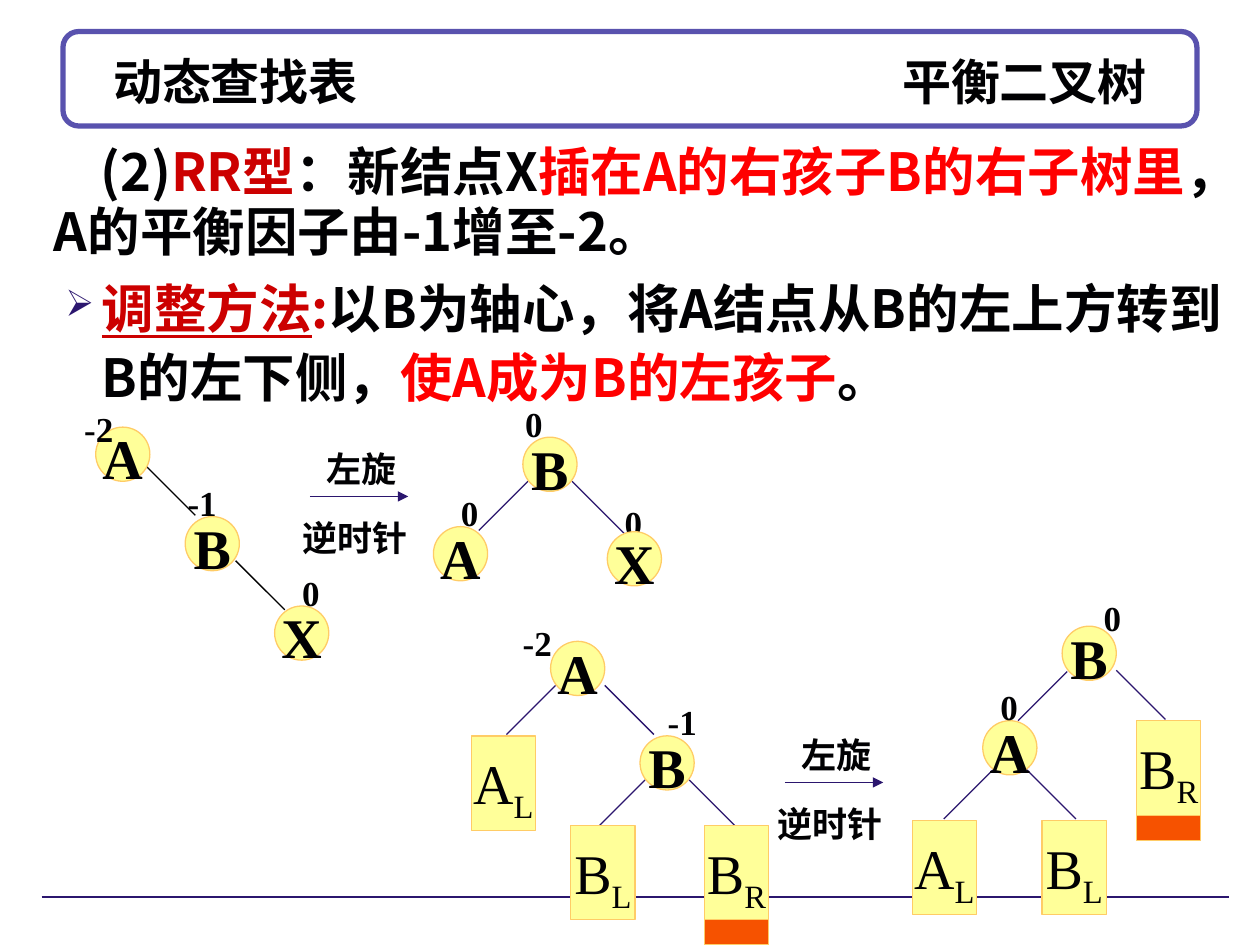
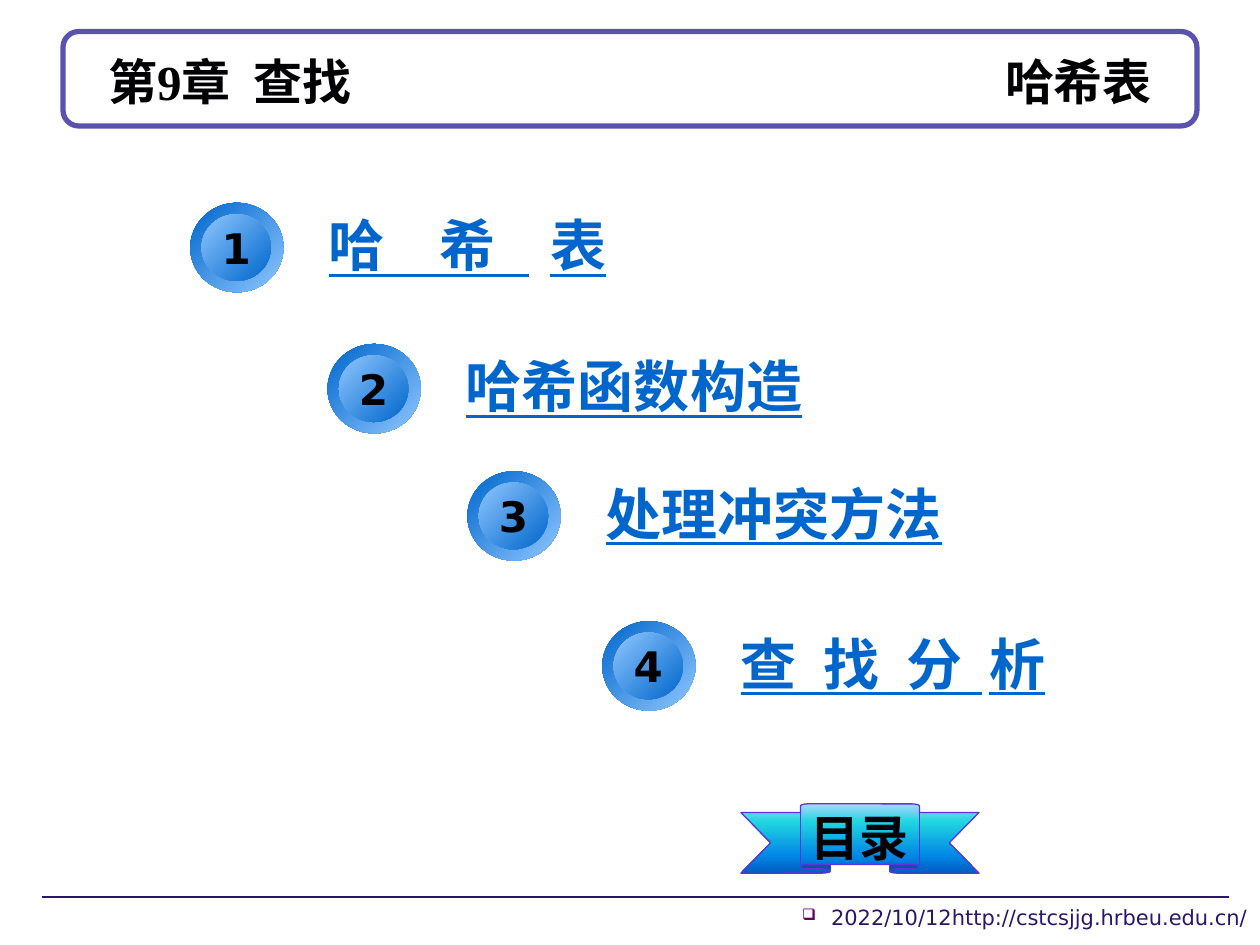
import pptx
import pptx.util
import pptx.dml.color
import pptx.enum.shapes
import pptx.enum.text
import pptx.oxml
import pptx.oxml.ns
from lxml import etree

Inches, Pt = pptx.util.Inches, pptx.util.Pt
SHAPE = pptx.enum.shapes.MSO_SHAPE
ALIGN = pptx.enum.text.PP_ALIGN
MIDDLE = pptx.enum.text.MSO_ANCHOR.MIDDLE
qn = pptx.oxml.ns.qn

COLORS = {
    "ink": "010103", "black": "000000", "white": "FFFFFF", "frame": "5952AE",
    "navy": "2B166E", "crimson": "CC0000", "red": "FF0000", "node": "FFFF99",
    "node_line": "FFCC66", "inserted": "F65200", "link": "0066CC",
    "sky": "8FC7FF", "ribbon_line": "5B34DA", "plum": "660066",
}
RIBBON_STOPS = [(0, "ADD6FF"), (25, "21D6E0"), (75, "0087E6"), (100, "005CBF")]
SERIF, CJK, LATO, SANS = "Times New Roman", "Noto Sans CJK SC", "Lato", "DejaVu Sans"

TITLE = {"name": SERIF, "size": 28, "bold": True}
BODY = {"name": CJK, "size": 30, "bold": True}
NODE = {"name": SERIF, "size": 32, "bold": True}
SUBTREE = {"name": SERIF, "size": 32}
BALANCE = {"name": SERIF, "size": 20, "bold": True}
CAPTION = {"name": LATO, "size": 20, "bold": True}
LINK = {"name": SERIF, "size": 32, "bold": True, "underline": True, "color": "link"}
BADGE = {"name": SANS, "size": 24, "bold": True, "color": "black"}
FOOTER = {"name": SANS, "size": 12, "color": "navy"}


def rgb(name):
    return pptx.dml.color.RGBColor.from_string(COLORS[name])


def add_xml(parent, tag, **attributes):
    return etree.SubElement(parent, qn(tag), attributes)


def style(span, look):
    """Apply a look; 'baseline' and 'spacing' are run attributes."""
    for key, value in look.items():
        if key == "color":
            continue
        if key == "baseline":
            span._r.get_or_add_rPr().set("baseline", str(value * 1000))
        elif key == "spacing":
            span._r.get_or_add_rPr().set("spc", str(round(value * 100)))
        else:
            setattr(span.font, key, Pt(value) if key == "size" else value)
    span.font.color.rgb = rgb(look.get("color", "ink"))
    latin = span._r.rPr.find(qn("a:latin"))
    east = etree.Element(qn("a:ea"), {"typeface": CJK})
    latin.addnext(east)


def write(box, spans, look, wrap=True, anchor=None, align=None, spacing=None,
          left=0, indent=0, bullet=None):
    """Fill a box with one paragraph of (text, changes) spans."""
    frame = box.text_frame
    frame.word_wrap = wrap
    if anchor is not None:
        frame.vertical_anchor = anchor
    para = frame.paragraphs[0]
    for key, value in {"alignment": align, "line_spacing": spacing}.items():
        if value is not None:
            setattr(para, key, value)
    props = para._p.get_or_add_pPr()
    props.set("marL", str(Inches(left)))
    props.set("indent", str(Inches(indent)))
    if bullet:
        mark, color, percent = bullet
        add_xml(add_xml(props, "a:buClr"), "a:srgbClr", val=COLORS[color])
        add_xml(props, "a:buSzPct", val=str(percent * 1000))
        add_xml(props, "a:buChar", char=mark)
    for text, changes in spans:
        span = para.add_run()
        span.text = text
        style(span, {**look, **changes})


def text_box(page, place, spans, look, **layout):
    box = page.shapes.add_textbox(*map(Inches, place))
    write(box, spans, look, **layout)
    return box


def add_shape(page, kind, place, fill=None, line=None, width=0.75, adjust=()):
    shape = page.shapes.add_shape(kind, *map(Inches, place))
    shape.shadow.inherit = False
    for index, value in enumerate(adjust):
        shape.adjustments[index] = value
    if fill:
        shape.fill.solid()
        shape.fill.fore_color.rgb = rgb(fill)
    if line:
        shape.line.color.rgb = rgb(line)
        shape.line.width = Pt(width)
    else:
        shape.line.fill.background()
    return shape


def fill_gradient(shape, stops, angle):
    gradient = etree.Element(qn("a:gradFill"), {"rotWithShape": "1"})
    stop_list = add_xml(gradient, "a:gsLst")
    for position, color in stops:
        stop = add_xml(stop_list, "a:gs", pos=str(position * 1000))
        add_xml(stop, "a:srgbClr", val=color)
    add_xml(gradient, "a:lin", ang=str(angle * 60000), scaled="0")
    shape._element.spPr.find(qn("a:prstGeom")).addnext(gradient)


def add_line(page, x1, y1, x2, y2, color="navy", arrow=False):
    line = page.shapes.add_connector(
        pptx.enum.shapes.MSO_CONNECTOR.STRAIGHT, *map(Inches, (x1, y1, x2, y2)))
    line.line.color.rgb = rgb(color)
    line.line.width = Pt(0.75)
    if arrow:
        add_xml(line.line._get_or_add_ln(), "a:tailEnd", type="triangle")
    add_xml(line._element.spPr, "a:effectLst")


def add_page(deck, chapter, topic, pad):
    """Start a page with the framed title and the bottom rule."""
    page = deck.slides.add_slide(deck.slide_layouts[6])
    add_shape(page, SHAPE.ROUNDED_RECTANGLE, (0.5, 0.25, 9, 0.75), "white", "frame", 3, [0.167])
    add_line(page, 0.33, 7.12, 9.75, 7.12)
    for spans, align in ((chapter, ALIGN.LEFT), (topic, ALIGN.RIGHT)):
        text_box(page, (0.4 + pad, 0.33, 9.2 - 2 * pad, 0.62), spans, TITLE,
                 anchor=MIDDLE, align=align)
    return page


def add_node(page, name, x, y):
    circle = add_shape(page, SHAPE.OVAL, (x, y, 0.43, 0.43), "node", "node_line")
    write(circle, [(name, {})], NODE, wrap=False, anchor=MIDDLE,
          align=ALIGN.CENTER, spacing=1.1)


def add_balance(page, value, x, y):
    text_box(page, (x, y, 0.51 if len(value) > 1 else 0.35, 0.47), [(value, {})],
             BALANCE, spacing=1.1)


def add_subtree(page, name, x, y):
    block = add_shape(page, SHAPE.RECTANGLE, (x, y, 0.51, 0.75), "node", "node_line")
    write(block, [(name[0], {}), (name[1], {"baseline": -25})], SUBTREE, wrap=False,
          anchor=MIDDLE, align=ALIGN.CENTER, spacing=1.1)


def add_grown_subtree(page, name, x, y):
    """A subtree with the inserted node hanging below it."""
    add_shape(page, SHAPE.RECTANGLE, (x, y + 0.75, 0.51, 0.2), "inserted", "node_line")
    add_subtree(page, name, x, y)


def add_tree(page, left, top, parts, edges, color="navy"):
    """Parts are (drawer, name, x, y); edges are (x, y, run) at 45 degrees."""
    for x, y, run in edges:
        add_line(page, left + x, top + y, left + x + run, top + y + abs(run), color)
    for drawer, name, x, y in parts:
        drawer(page, name, left + x, top + y)


def add_rotation(page, left, top):
    add_line(page, left + 0.16, top + 0.47, left + 0.94, top + 0.47, arrow=True)
    for label, x, y, width in (("左旋", 0.19, 0, 0.79), ("逆时针", 0, 0.55, 1.18)):
        text_box(page, (left + x, top + y, width, 0.47), [(label, {})], CAPTION, spacing=1.1)


def add_explanation(page, left, top):
    crimson, red = {"color": "crimson"}, {"color": "red"}
    text_box(page, (left, top, 9.5, 1.05), [
        ("(2)", {}), ("RR型", crimson), ("：新结点X", {}),
        ("插在A的右孩子B的右子树里", red), ("，A的平衡因子由-1增至-2。", {}),
    ], BODY, spacing=0.95, indent=0.37)
    text_box(page, (left + 0.09, top + 1, 9.42, 1.21), [
        ("调整方法", {**crimson, "underline": True}), (":", crimson),
        ("以B为轴心，将A结点从B的左上方转到B的左下侧，", {}),
        ("使A成为B的左孩子", red), ("。", {}),
    ], BODY, spacing=1.1, left=0.29, indent=-0.29, bullet=("➢", "navy", 70))


def build_rotation_page(deck):
    page = add_page(deck, [("动态查找表", {})], [("平衡二叉树", {})], 0.4)
    add_explanation(page, 0.33, 1.09)
    add_tree(page, 4.15, 3.47, [
        (add_node, "B", 0, 0), (add_node, "A", -0.71, 0.71),
        (add_balance, "0", -0.59, 0.35), (add_balance, "0", -0.08, -0.36),
        (add_balance, "0", 0.71, 0.43), (add_node, "X", 0.67, 0.75),
    ], [(0.04, 0.35, -0.39), (0.39, 0.35, 0.44)])
    add_rotation(page, 2.3, 3.47)
    add_tree(page, 8.43, 4.97, [
        (add_node, "B", 0, 0), (add_node, "A", -0.63, 0.75),
        (add_balance, "0", 0.23, -0.32), (add_balance, "0", -0.59, 0.39),
        (add_subtree, "AL", -1.19, 1.54), (add_subtree, "BL", -0.16, 1.54),
        (add_grown_subtree, "BR", 0.59, 0.75),
    ], [(0.04, 0.36, -0.39), (-0.55, 1.14, -0.39), (0.43, 0.35, 0.39), (-0.28, 1.14, 0.39)])
    add_rotation(page, 6.07, 5.74)
    add_tree(page, 0.76, 3.39,
             [(add_node, name, 0.71 * step, 0.71 * step) for step, name in enumerate("ABX")]
             + [(add_balance, "0", 1.54, 1.06), (add_balance, "-1", 0.63, 0.35),
                (add_balance, "-2", -0.19, -0.24)],
             [(0.4, 0.31, 0.39), (1.11, 1.06, 0.39)], "black")
    add_tree(page, 4.37, 5.09, [
        (add_node, "A", 0, 0), (add_node, "B", 0.71, 0.75),
        (add_balance, "-1", 0.83, 0.39), (add_balance, "-2", -0.32, -0.24),
        (add_subtree, "AL", -0.63, 0.75), (add_subtree, "BL", 0.16, 1.46),
        (add_grown_subtree, "BR", 1.22, 1.46),
    ], [(0.04, 0.35, -0.39), (0.75, 1.1, -0.39), (0.43, 0.35, 0.39), (1.1, 1.1, 0.39)])


def add_entry(page, number, text, tracking, left, top):
    """A numbered badge with an underlined heading beside it."""
    blue, sky = COLORS["link"], COLORS["sky"]
    outer = add_shape(page, SHAPE.OVAL, (left, top, 0.74, 0.71))
    fill_gradient(outer, [(0, blue), (100, sky)], 45)
    inner = add_shape(page, SHAPE.OVAL, (left + 0.09, top + 0.09, 0.55, 0.53))
    fill_gradient(inner, [(0, sky), (100, blue)], 45)
    write(inner, [(str(number), {})], BADGE, wrap=False, anchor=MIDDLE, align=ALIGN.CENTER)
    text_box(page, (left + 1, top + 0.04, 3.7, 0.58),
             [(text[:-1], {"spacing": tracking}), (text[-1], {})],
             LINK, wrap=False, anchor=MIDDLE, align=ALIGN.LEFT)


def add_ribbon(page, left, top):
    ribbon = add_shape(page, SHAPE.UP_RIBBON, (left, top, 1.89, 0.55),
                       line="ribbon_line", adjust=(0.125, 0.5))
    fill_gradient(ribbon, RIBBON_STOPS, 90)
    write(ribbon, [("目录", {})], {**TITLE, "name": LATO}, wrap=False,
          anchor=MIDDLE, align=ALIGN.CENTER, spacing=1.1)


def build_contents_page(deck):
    page = add_page(deck, [("第9", {}), ("章 ", {"spacing": 3.5}), ("查找", {})],
                    [("哈希表", {})], 0.36)
    text_box(page, (6.04, 7.13, 3.96, 0.37),
             [("2022/10/12http://cstcsjjg.hrbeu.edu.cn/", {})], FOOTER,
             align=ALIGN.RIGHT, left=0.23, indent=-0.23, bullet=("❑", "plum", 75))
    entries = [("哈 希 表", 12, 1.51, 1.61), ("哈希函数构造", 0, 2.6, 2.73),
               ("处理冲突方法", 0, 3.71, 3.74), ("查 找 分 析", 4, 4.78, 4.93)]
    for number, entry in enumerate(entries, 1):
        add_entry(page, number, *entry)
    add_ribbon(page, 5.88, 6.38)


def main():
    deck = pptx.Presentation()
    deck.slide_width, deck.slide_height = Inches(10), Inches(7.5)
    build_rotation_page(deck)
    build_contents_page(deck)
    deck.save("out.pptx")


if __name__ == "__main__":
    main()
